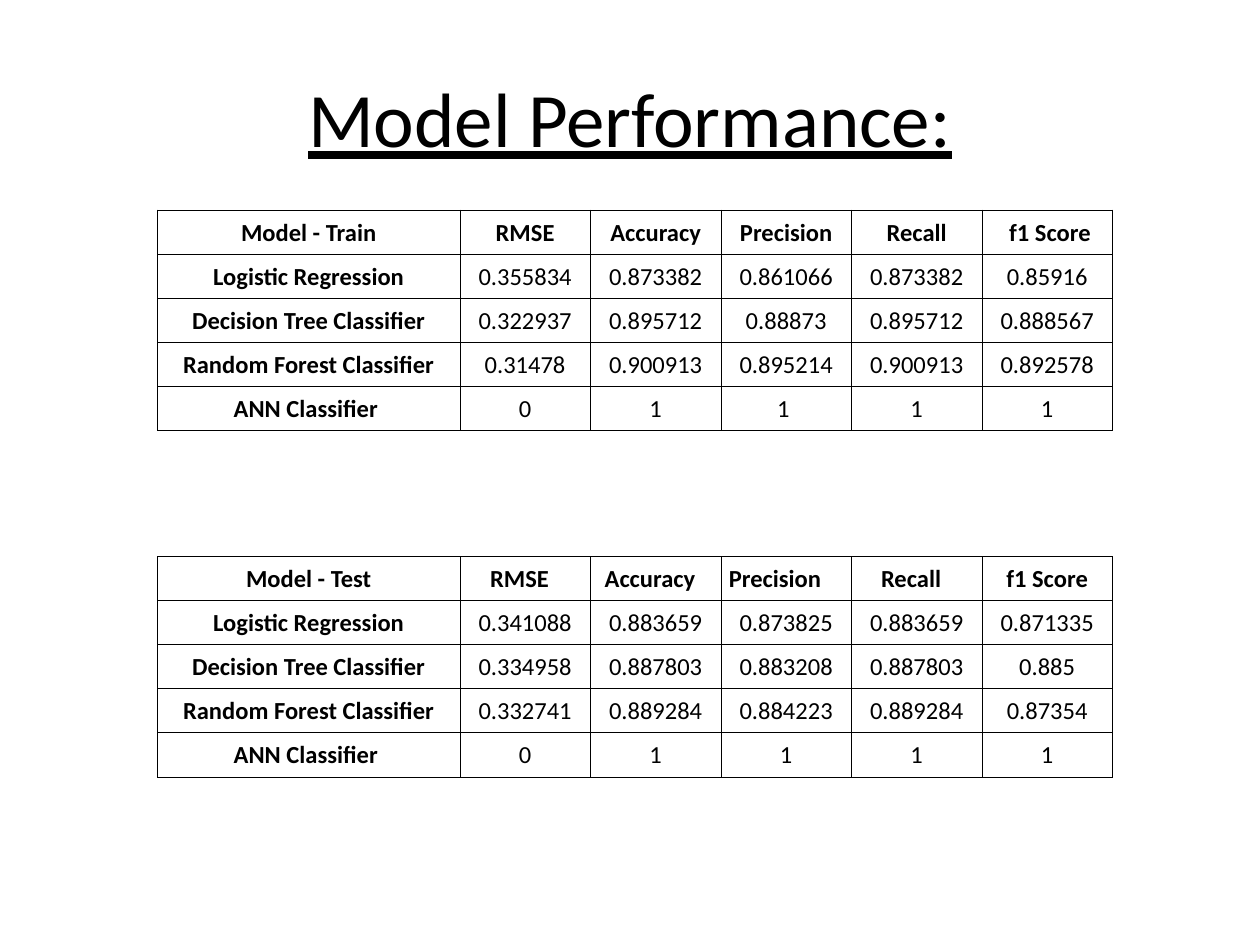
"""Build a slide comparing model performance on the train and test sets."""
from lxml.etree import SubElement
from pptx import Presentation
from pptx.dml.color import RGBColor as Rgb
from pptx.enum.text import MSO_ANCHOR as Anchor, PP_ALIGN as Align
from pptx.oxml.ns import qn
from pptx.util import Pt

COLORS = {"ink": "000000", "page": "FFFFFF"}
FONT = "Calibri"
TABLE_LEFT, ROW_HEIGHT = 90, 25.2
COLUMN_WIDTHS = [172.8] + [74.6] * 5
INSET = 0.72

TRAIN = [
    ["Model - Train", "RMSE", "Accuracy", "Precision", "Recall", "f1 Score"],
    ["Logistic Regression", "0.355834", "0.873382", "0.861066", "0.873382", "0.85916"],
    ["Decision Tree Classifier", "0.322937", "0.895712", "0.88873", "0.895712", "0.888567"],
    ["Random Forest Classifier", "0.31478", "0.900913", "0.895214", "0.900913", "0.892578"],
    ["ANN Classifier", "0", "1", "1", "1", "1"],
]
TEST = [
    ["Model - Test", "RMSE", "Accuracy", "Precision", "Recall", "f1 Score"],
    ["Logistic Regression", "0.341088", "0.883659", "0.873825", "0.883659", "0.871335"],
    ["Decision Tree Classifier", "0.334958", "0.887803", "0.883208", "0.887803", "0.885"],
    ["Random Forest Classifier", "0.332741", "0.889284", "0.884223", "0.889284", "0.87354"],
    ["ANN Classifier", "0", "1", "1", "1", "1"],
]
TRAIN_INDENTS = {(0, 5): (3.2, 0), (4, 0): (0, 3.2), (4, 3): (0, 3.2)}
TEST_INDENTS = {(0, 1): (0, 6.4), (0, 2): (0, 6.4), (0, 3): (0, 12.8),
                (0, 4): (0, 6.4), (4, 0): (0, 3.2)}


def write(frame, wording, size, bold=False, underline=False):
    frame.text = wording
    paragraph = frame.paragraphs[0]
    paragraph.alignment = Align.CENTER
    font = paragraph.runs[0].font
    font.name, font.size = FONT, Pt(size)
    font.bold, font.underline = bold, underline
    font.color.rgb = Rgb.from_string(COLORS["ink"])


def add_title(slide, wording):
    title = slide.shapes.add_textbox(Pt(36), Pt(21.6), Pt(648), Pt(90))
    title.text_frame.word_wrap = True
    title.text_frame.vertical_anchor = Anchor.MIDDLE
    write(title.text_frame, wording, 44, underline=True)


def outline(cell):
    properties = cell._tc.get_or_add_tcPr()
    for side in ("a:lnL", "a:lnR", "a:lnT", "a:lnB"):
        border = SubElement(properties, qn(side), w=str(Pt(0.5)))
        fill = SubElement(border, qn("a:solidFill"))
        SubElement(fill, qn("a:srgbClr"), val=COLORS["ink"])


def fill_cell(cell, wording, bold, indents):
    outline(cell)
    cell.fill.solid()
    cell.fill.fore_color.rgb = Rgb.from_string(COLORS["page"])
    cell.vertical_anchor = Anchor.MIDDLE
    left, right = indents
    cell.margin_left, cell.margin_right = Pt(INSET + left), Pt(INSET + right)
    cell.margin_top, cell.margin_bottom = Pt(INSET), Pt(0)
    write(cell.text_frame, wording, 14, bold)


def add_scores(slide, top, scores, indents):
    table = slide.shapes.add_table(
        len(scores), len(COLUMN_WIDTHS), Pt(TABLE_LEFT), Pt(top),
        Pt(sum(COLUMN_WIDTHS)), Pt(ROW_HEIGHT * len(scores))).table
    table.first_row = table.horz_banding = False
    for column, width in zip(table.columns, COLUMN_WIDTHS):
        column.width = Pt(width)
    for r, entries in enumerate(scores):
        table.rows[r].height = Pt(ROW_HEIGHT)
        for c, entry in enumerate(entries):
            fill_cell(table.cell(r, c), entry, r == 0 or c == 0,
                      indents.get((r, c), (0, 0)))


def main():
    deck = Presentation()
    deck.slide_width, deck.slide_height = Pt(720), Pt(540)
    slide = deck.slides.add_slide(deck.slide_layouts[6])
    add_title(slide, "Model Performance:")
    add_scores(slide, 120, TRAIN, TRAIN_INDENTS)
    add_scores(slide, 318, TEST, TEST_INDENTS)
    deck.save("out.pptx")


if __name__ == "__main__":
    main()
